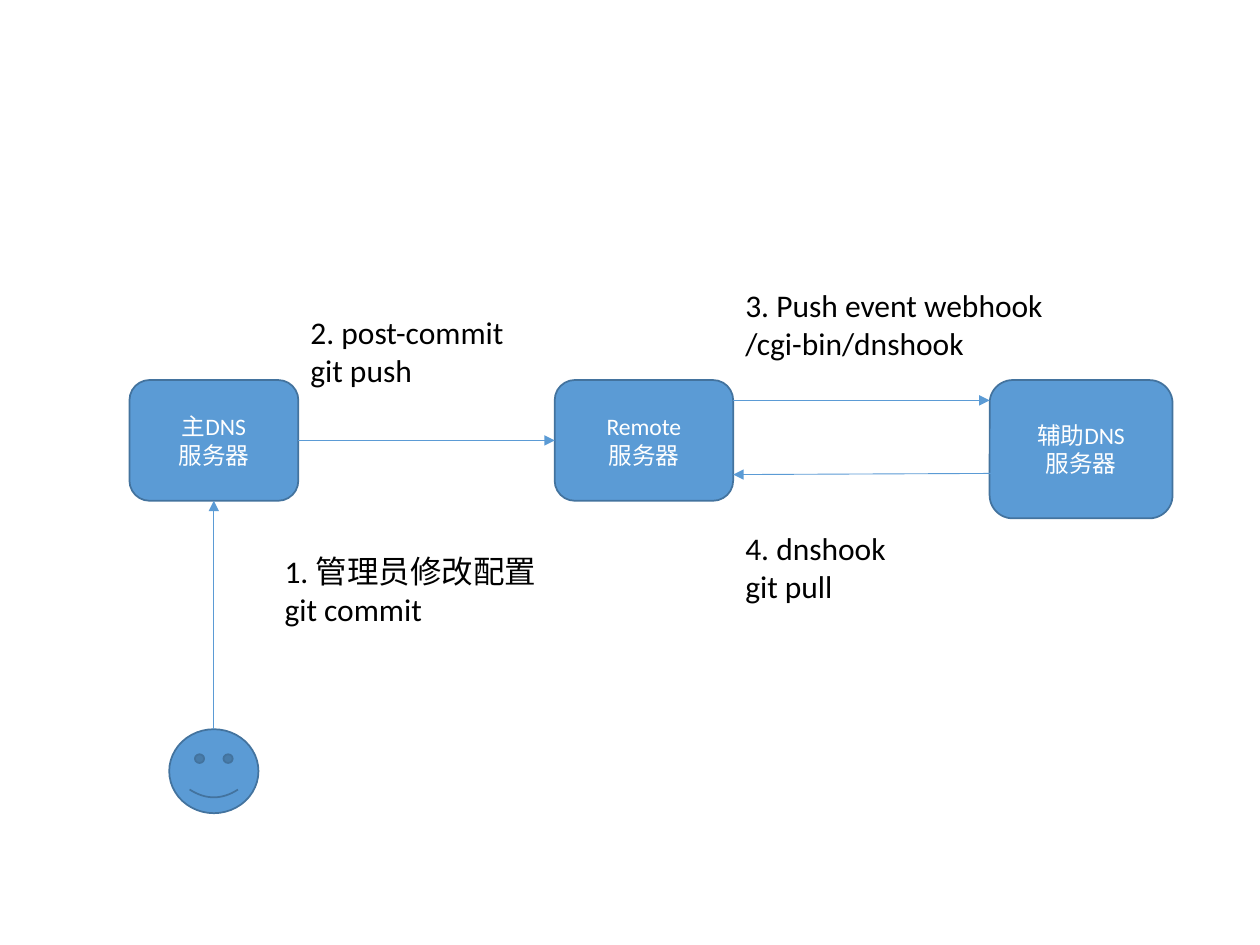
"""Build a slide showing how DNS configuration travels from the primary to the secondary server."""
from typing import NamedTuple

from pptx import Presentation
from pptx.dml.color import RGBColor
from pptx.enum.shapes import MSO_CONNECTOR, MSO_SHAPE
from pptx.enum.text import MSO_ANCHOR, MSO_AUTO_SIZE, PP_ALIGN
from pptx.oxml.ns import qn
from pptx.util import Pt
from lxml.etree import SubElement

BLUE = RGBColor(0x5B, 0x9B, 0xD5)
DARK_BLUE = RGBColor(0x43, 0x73, 0x9E)
WHITE = RGBColor(0xFF, 0xFF, 0xFF)
BLACK = RGBColor(0x00, 0x00, 0x00)
FONT = "Calibri"


class Node(NamedTuple):
    left: float
    top: float
    width: float
    height: float
    lines: tuple[str, ...] = ()
    kind: MSO_SHAPE = MSO_SHAPE.ROUNDED_RECTANGLE


class Arrow(NamedTuple):
    start_x: float
    start_y: float
    end_x: float
    end_y: float


class Step(NamedTuple):
    left: float
    top: float
    width: float
    lines: tuple[str, ...]


NODES = (
    Node(74, 217.2, 96.5, 69, ("主DNS", "服务器")),
    Node(317, 217.2, 102, 69, ("Remote", "服务器")),
    Node(565.5, 217.2, 104.5, 79, ("辅助DNS", "服务器")),
    Node(96.7, 416.7, 51, 48, kind=MSO_SHAPE.SMILEY_FACE),
)
ARROWS = (
    Arrow(122.2, 416.7, 122.2, 286.2),
    Arrow(170.5, 251.7, 317, 251.7),
    Arrow(419, 228.8, 565.5, 228.8),
    Arrow(575, 270.5, 419, 271.2),
)
STEPS = (
    Step(155.5, 311.8, 161.5, ("1. 管理员修改配置", "git commit")),
    Step(170.3, 175.5, 147, ("2. post-commit", "git push")),
    Step(418.8, 160, 206.5, ("3. Push event webhook", "/cgi-bin/dnshook")),
    Step(418.8, 299, 206.5, ("4. dnshook", "git pull")),
)


def write_lines(frame, lines: tuple[str, ...], size: float, color: RGBColor, alignment: PP_ALIGN) -> None:
    frame.word_wrap = True
    frame.text = "\n".join(lines)
    for paragraph in frame.paragraphs:
        paragraph.alignment = alignment
        paragraph.font.name = FONT
        paragraph.font.size = Pt(size)
        paragraph.font.color.rgb = color


def add_node(slide, node: Node) -> None:
    shape = slide.shapes.add_shape(node.kind, Pt(node.left), Pt(node.top), Pt(node.width), Pt(node.height))
    shape.shadow.inherit = False
    shape.fill.solid()
    shape.fill.fore_color.rgb = BLUE
    shape.line.color.rgb = DARK_BLUE
    shape.line.width = Pt(1)
    if node.lines:
        frame = shape.text_frame
        frame.vertical_anchor = MSO_ANCHOR.MIDDLE
        frame.margin_left = frame.margin_right = Pt(5)
        frame.margin_top = frame.margin_bottom = Pt(3)
        write_lines(frame, node.lines, 13.5, WHITE, PP_ALIGN.CENTER)


def add_arrow(slide, arrow: Arrow) -> None:
    connector = slide.shapes.add_connector(MSO_CONNECTOR.STRAIGHT, *(Pt(value) for value in arrow))
    connector.line.color.rgb = BLUE
    connector.line.width = Pt(0.5)
    SubElement(connector.line._get_or_add_ln(), qn("a:tailEnd"), type="triangle")
    SubElement(connector._element.spPr, qn("a:effectLst"))


def add_step(slide, step: Step) -> None:
    text_box = slide.shapes.add_textbox(Pt(step.left), Pt(step.top), Pt(step.width), Pt(51))
    text_box.text_frame.auto_size = MSO_AUTO_SIZE.SHAPE_TO_FIT_TEXT
    write_lines(text_box.text_frame, step.lines, 18, BLACK, PP_ALIGN.LEFT)


def main() -> None:
    presentation = Presentation()
    presentation.slide_width = Pt(720)
    presentation.slide_height = Pt(540)
    slide = presentation.slides.add_slide(presentation.slide_layouts[6])
    for node in NODES:
        add_node(slide, node)
    for arrow in ARROWS:
        add_arrow(slide, arrow)
    for step in STEPS:
        add_step(slide, step)
    presentation.save("out.pptx")


main()
